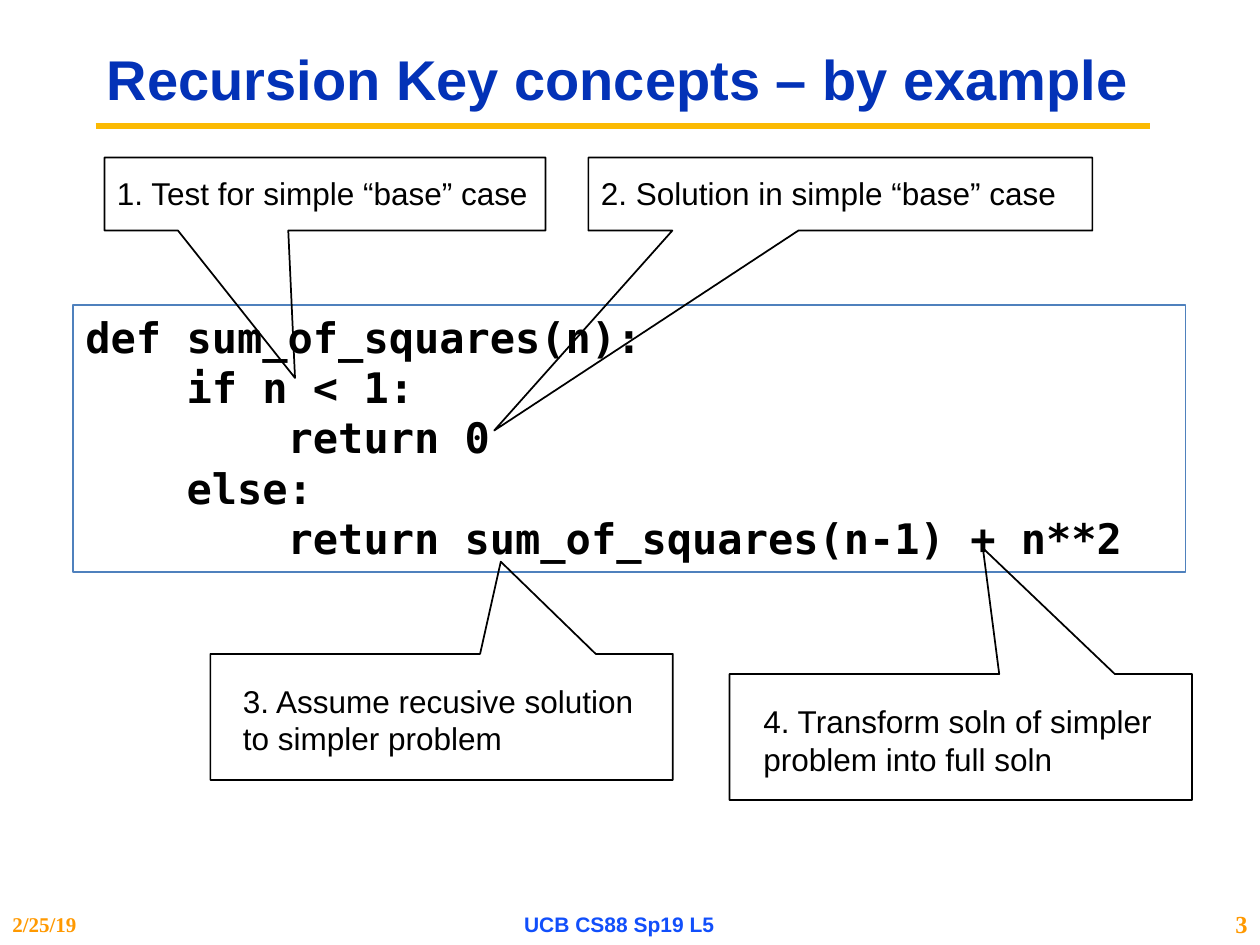
from lxml.etree import SubElement
from pptx import Presentation
from pptx.dml.color import RGBColor
from pptx.enum.shapes import MSO_CONNECTOR, MSO_SHAPE
from pptx.enum.text import MSO_ANCHOR, PP_ALIGN
from pptx.oxml.ns import qn
from pptx.util import Inches, Pt

COLORS = {
    "title": "0332B7",
    "rule": "FBBA03",
    "text": "000000",
    "code_border": "4F81BD",
    "footer": "114FFB",
    "date": "FF9900",
}

CODE = """def sum_of_squares(n):
    if n < 1:
        return 0
    else:
        return sum_of_squares(n-1) + n**2"""

# Callout box, pointer adjustments, label box, label text
CALLOUTS = [
    ((0.83, 1.25, 3.5, 0.58), (-0.068, 2.517), (0.83, 1.33, 3.49, 0.4),
     "1. Test for simple “base” case"),
    ((4.67, 1.25, 4, 0.58), (-0.687, 3.237), (4.67, 1.33, 3.85, 0.4),
     "2. Solution in simple “base” case"),
    ((1.67, 5.19, 3.67, 1), (0.128, -1.232), (1.83, 5.36, 3.33, 0.71),
     "3. Assume recusive solution to simpler problem"),
    ((5.79, 5.35, 3.67, 1), (0.048, -1.499), (5.96, 5.52, 3.33, 0.71),
     "4. Transform soln of simpler problem into full soln"),
]


def color(name):
    return RGBColor.from_string(COLORS[name])


def inches(box):
    return [Inches(value) for value in box]


def write_text(shape, text, size=18, font="Arial", ink="text", bold=False,
               align=PP_ALIGN.LEFT, anchor=MSO_ANCHOR.TOP, line_spacing=None):
    """Fill a shape with one paragraph per line of text."""
    frame = shape.text_frame
    frame.word_wrap = True
    frame.vertical_anchor = anchor
    for index, line in enumerate(text.split("\n")):
        paragraph = frame.add_paragraph() if index else frame.paragraphs[0]
        paragraph.alignment = align
        paragraph.line_spacing = line_spacing
        run = paragraph.add_run()
        run.text = line
        run.font.size = Pt(size)
        run.font.name = font
        run.font.bold = bold
        run.font.color.rgb = color(ink)


def add_text(shapes, box, text, **text_format):
    write_text(shapes.add_textbox(*inches(box)), text, **text_format)


def add_outline(shapes, preset, box, line, width):
    """Add an unfilled outlined shape."""
    shape = shapes.add_shape(preset, *inches(box))
    shape.shadow.inherit = False
    shape.fill.background()
    shape.line.color.rgb = color(line)
    shape.line.width = Pt(width)
    return shape


def add_rule(shapes, left, right, top):
    rule = shapes.add_connector(
        MSO_CONNECTOR.STRAIGHT, *inches((left, top, right, top)))
    rule.line.color.rgb = color("rule")
    rule.line.width = Pt(3.75)
    SubElement(rule._element.spPr, qn("a:effectLst"))


def add_callout(shapes, box, pointer, label_box, text):
    """Group a callout outline with its label."""
    group = shapes.add_group_shape()
    callout = add_outline(
        group.shapes, MSO_SHAPE.RECTANGULAR_CALLOUT, box, "text", 1)
    for index, value in enumerate(pointer):
        callout.adjustments[index] = value
    add_text(group.shapes, label_box, text)


def main():
    presentation = Presentation()
    presentation.slide_width = Inches(10)
    presentation.slide_height = Inches(7.5)
    slide = presentation.slides.add_slide(presentation.slide_layouts[6])
    shapes = slide.shapes

    # Title and rule
    add_rule(shapes, 0.76, 9.13, 1)
    add_text(shapes, (0.75, 0.25, 8.42, 0.81),
             "Recursion Key concepts – by example", size=32, ink="title",
             bold=True, anchor=MSO_ANCHOR.MIDDLE, line_spacing=0.9)

    # Code
    code_box = add_outline(shapes, MSO_SHAPE.RECTANGLE,
                           (0.58, 2.42, 8.83, 2.12), "code_border", 0.75)
    write_text(code_box, CODE, size=24, font="DejaVu Sans Mono", bold=True)

    # Explanations
    for callout in CALLOUTS:
        add_callout(shapes, *callout)

    # Footer
    footer_format = {"bold": True, "anchor": MSO_ANCHOR.MIDDLE}
    add_text(shapes, (0, 7.17, 1.67, 0.33), "2/25/19", size=12,
             font="Times New Roman", ink="date", **footer_format)
    add_text(shapes, (3.33, 7.17, 3.17, 0.33), "UCB CS88 Sp19 L5", size=12,
             ink="footer", align=PP_ALIGN.CENTER, **footer_format)
    add_text(shapes, (9.42, 7.17, 0.58, 0.33), "3", size=14,
             font="Times New Roman", ink="date", align=PP_ALIGN.RIGHT,
             **footer_format)

    presentation.save("out.pptx")


if __name__ == "__main__":
    main()
